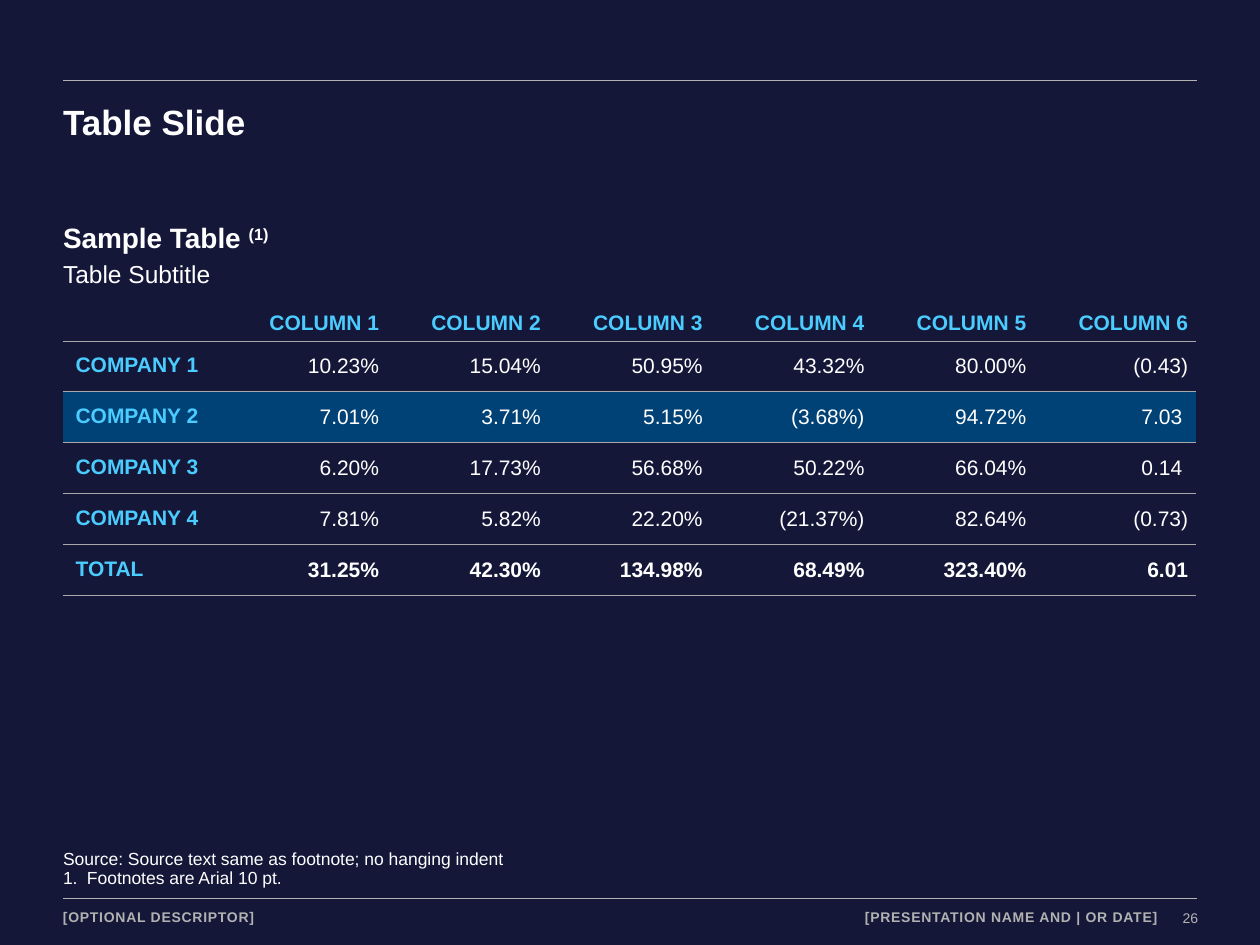
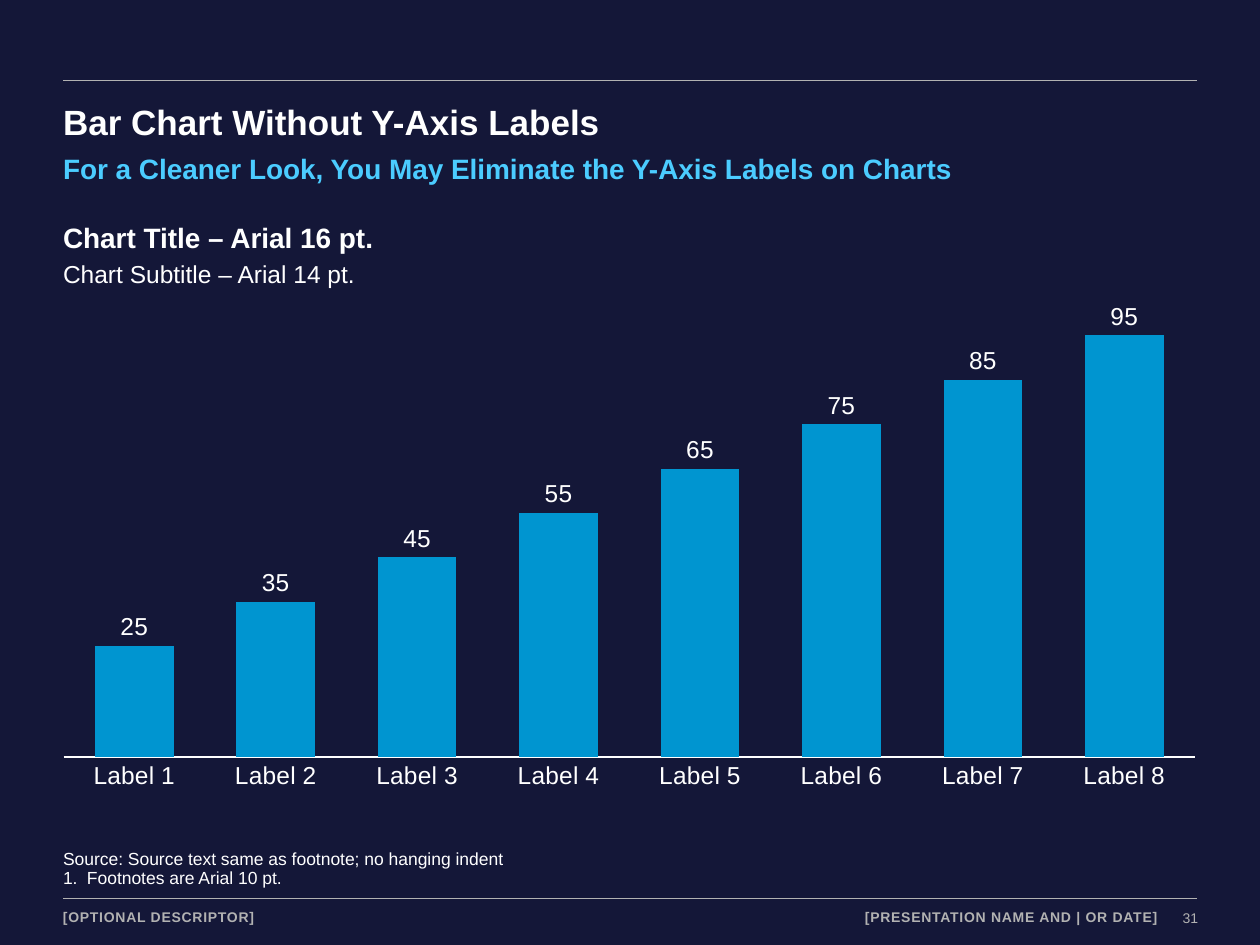
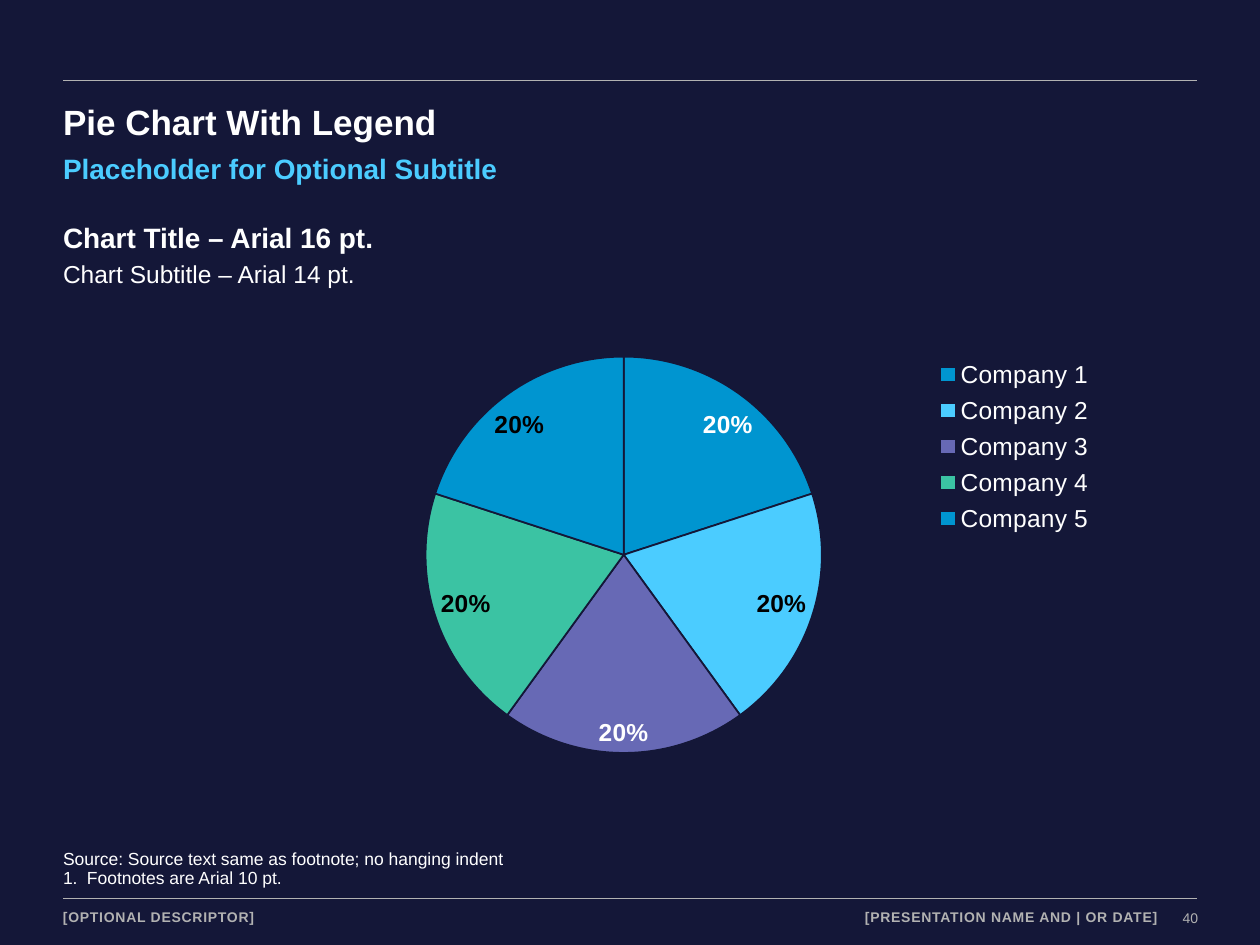
from dataclasses import dataclass

import pptx
import pptx.chart.data
import pptx.dml.color
import pptx.enum.chart
import pptx.enum.shapes
import pptx.enum.text
import pptx.oxml
import pptx.oxml.ns
import pptx.util

Inches = pptx.util.Inches
Pt = pptx.util.Pt
Align = pptx.enum.text.PP_ALIGN
Anchor = pptx.enum.text.MSO_ANCHOR
qn = pptx.oxml.ns.qn


@dataclass(frozen=True)
class Theme:
    font: str = "Arial"
    background: str = "141738"
    text: str = "FFFFFF"
    dark_text: str = "000000"
    accent: str = "4BCCFF"
    bar: str = "0095D0"
    purple: str = "6769B5"
    green: str = "3BC3A3"
    highlight: str = "004176"
    rule: str = "B2B2B2"
    cell_rule: str = "A9A9A9"
    title_size: float = 20
    heading_size: float = 16
    body_size: float = 14
    table_size: float = 12
    note_size: float = 10
    footer_size: float = 8


@dataclass(frozen=True)
class Area:
    left: float
    top: float
    width: float
    height: float

    def lengths(self) -> tuple:
        return tuple(map(Inches, (self.left, self.top, self.width, self.height)))


@dataclass(frozen=True)
class PageText:
    number: int
    title: str
    heading: str
    caption: str
    subtitle: str = ""
    marker: str = ""


THEME = Theme()
LEFT, RIGHT, WIDTH = 0.5, 9.5, 8.99
TITLE = Area(LEFT, 0.8, WIDTH, 0.34)
SUBTITLE = Area(LEFT, 1.2, WIDTH, 0.27)
HEADING = Area(LEFT, 1.7, 7.05, 0.35)
CAPTION = Area(LEFT, 2.01, 7.05, 0.31)
TABLE = Area(LEFT, 2.3, WIDTH, 2.43)
CHART = Area(LEFT, 2.3, WIDTH, 4.15)
NOTES = Area(LEFT, 6.75, WIDTH, 0.32)
DESCRIPTOR = Area(LEFT, 7.21, 3.1, 0.15)
DECK_NAME = Area(5.19, 7.21, 4, 0.15)
PAGE_NUMBER = Area(9.37, 7.22, 0.14, 0.13)

TABLE_ROWS = [
    ["", *(f"COLUMN {number}" for number in range(1, 7))],
    ["COMPANY 1", "10.23%", "15.04%", "50.95%", "43.32%", "80.00%", "(0.43)"],
    ["COMPANY 2", "7.01%", "3.71%", "5.15%", "(3.68%)", "94.72%", "7.03 "],
    ["COMPANY 3", "6.20%", "17.73%", "56.68%", "50.22%", "66.04%", "0.14 "],
    ["COMPANY 4", "7.81%", "5.82%", "22.20%", "(21.37%)", "82.64%", "(0.73)"],
    ["TOTAL", "31.25%", "42.30%", "134.98%", "68.49%", "323.40%", "6.01"],
]
HIGHLIGHTED_ROW = 2
NO_GRID_STYLE = "{2D5ABB26-0587-4C30-8999-92F81FD0307C}"


# Text
def rgb(color: str) -> pptx.dml.color.RGBColor:
    return pptx.dml.color.RGBColor.from_string(color)


def style_font(font, size: float, color: str = THEME.text, bold: bool = False) -> None:
    font.name, font.size, font.bold = THEME.font, Pt(size), bold
    font.color.rgb = rgb(color)


def add_span(para, text: str, *, size: float, color: str = THEME.text, bold: bool = False,
             align=Align.LEFT, line_spacing: float = 1.0, tracking: float = 0,
             raised: int = 0) -> None:
    """Append formatted text to a paragraph."""
    para.alignment, para.line_spacing = align, line_spacing
    span = para.add_run()
    span.text = text
    style_font(span.font, size, color, bold)
    properties = span.font._element
    if tracking:
        properties.set("spc", str(round(tracking * 100)))
    if raised:
        properties.set("baseline", str(raised * 1000))


def set_margins(target, left: float = 0, top: float = 0, right: float = 0,
                bottom: float = 0) -> None:
    target.margin_left, target.margin_top = Inches(left), Inches(top)
    target.margin_right, target.margin_bottom = Inches(right), Inches(bottom)


def prepare_frame(frame, anchor=Anchor.TOP):
    set_margins(frame)
    frame.word_wrap = True
    frame.auto_size = pptx.enum.text.MSO_AUTO_SIZE.NONE
    frame.vertical_anchor = anchor
    return frame.paragraphs[0]


def add_text(page, area: Area, text: str, **text_format):
    para = prepare_frame(page.shapes.add_textbox(*area.lengths()).text_frame)
    add_span(para, text, **text_format)
    return para


# Parts shared by all slides
def add_rule(page, top: float) -> None:
    rule = page.shapes.add_connector(
        pptx.enum.shapes.MSO_CONNECTOR.STRAIGHT,
        Inches(LEFT), Inches(top), Inches(RIGHT), Inches(top))
    rule.line.color.rgb, rule.line.width = rgb(THEME.rule), Pt(1)
    pptx.oxml.ns  # namespace helpers supply the effect list below
    rule._element.spPr.append(pptx.oxml.parse_xml(
        f"<a:effectLst {pptx.oxml.ns.nsdecls('a')}/>"))


def add_notes(page) -> None:
    frame = page.shapes.add_textbox(*NOTES.lengths()).text_frame
    source = prepare_frame(frame, Anchor.BOTTOM)
    frame.margin_bottom = Inches(0.02)
    note_format = dict(size=THEME.note_size, line_spacing=0.9)
    add_span(source, "Source: Source text same as footnote; no hanging indent", **note_format)
    footnote = frame.add_paragraph()
    add_span(footnote, "Footnotes are Arial 10 pt.", **note_format)
    properties = footnote._p.get_or_add_pPr()
    properties.set("marL", str(Inches(0.19)))
    properties.set("indent", str(-Inches(0.19)))
    properties.append(pptx.oxml.parse_xml(
        f"<a:buAutoNum {pptx.oxml.ns.nsdecls('a')} type='arabicPeriod'/>"))


def add_page(deck, content: PageText):
    page = deck.slides.add_slide(deck.slide_layouts.get_by_name("Title Only"))

    # Rules and footer
    add_rule(page, 0.64)
    add_rule(page, 7.13)
    footer = dict(size=THEME.footer_size, color=THEME.rule)
    label = dict(footer, bold=True, tracking=0.4)
    add_text(page, PAGE_NUMBER, str(content.number), align=Align.RIGHT, **footer)
    add_text(page, DESCRIPTOR, "[OPTIONAL DESCRIPTOR]", **label)
    add_text(page, DECK_NAME, "[PRESENTATION NAME AND | OR DATE]", align=Align.RIGHT, **label)

    # Title and subtitle
    title = page.shapes.title
    title.left, title.top, title.width, title.height = TITLE.lengths()
    add_span(prepare_frame(title.text_frame), content.title, size=THEME.title_size, bold=True)
    if content.subtitle:
        add_text(page, SUBTITLE, content.subtitle, size=THEME.heading_size,
                 color=THEME.accent, bold=True)

    # Heading of the table or chart
    heading_format = dict(size=THEME.heading_size, bold=True, line_spacing=1.2)
    heading = add_text(page, HEADING, content.heading, **heading_format)
    if content.marker:
        add_span(heading, content.marker, raised=30, **heading_format)
    add_text(page, CAPTION, content.caption, size=THEME.body_size, line_spacing=1.2)
    add_notes(page)
    return page


# Table
def add_cell_rule(cell, side: str) -> None:
    properties = cell._tc.get_or_add_tcPr()
    properties.append(pptx.oxml.parse_xml(
        f"<a:{side} {pptx.oxml.ns.nsdecls('a')} w='{Pt(0.5)}'><a:solidFill>"
        f"<a:srgbClr val='{THEME.cell_rule}'/></a:solidFill></a:{side}>"))


def fill_cell(cell, text: str, row: int, column: int) -> None:
    is_label = row == 0 or column == 0
    if is_label:
        set_margins(cell, 0.1, 0.05, 0.06, 0.05)
    else:
        set_margins(cell, 0.01, 0.01, 0.06, 0)
    cell.vertical_anchor = Anchor.BOTTOM if row == 0 else Anchor.MIDDLE
    if text:
        add_span(cell.text_frame.paragraphs[0], text, size=THEME.table_size,
                 color=THEME.accent if is_label else THEME.text,
                 bold=is_label or row == len(TABLE_ROWS) - 1,
                 align=Align.RIGHT if column else Align.LEFT, line_spacing=0.9)
    if row:
        add_cell_rule(cell, "lnT")
    add_cell_rule(cell, "lnB")
    if row == HIGHLIGHTED_ROW:
        cell.fill.solid()
        cell.fill.fore_color.rgb = rgb(THEME.highlight)
    else:
        cell.fill.background()


def add_company_table(page) -> None:
    row_count, column_count = len(TABLE_ROWS), len(TABLE_ROWS[0])
    table = page.shapes.add_table(row_count, column_count, *TABLE.lengths()).table
    table.first_row = table.horz_banding = False
    table._tbl.tblPr.find(qn("a:tableStyleId")).text = NO_GRID_STYLE
    for column in table.columns:
        column.width = Inches(TABLE.width / column_count)
    for row in table.rows:
        row.height = Inches(TABLE.height / row_count)
    for row, texts in enumerate(TABLE_ROWS):
        for column, text in enumerate(texts):
            fill_cell(table.cell(row, column), text, row, column)


# Charts
def set_layout(parent, area: Area, position: int, inner: bool = False) -> None:
    """Place a chart part by fractions of the chart area."""
    for layout in parent.findall(qn("c:layout")):
        parent.remove(layout)
    target = "<c:layoutTarget val='inner'/>" if inner else ""
    sizes = zip("xywh", (area.left, area.top, area.width, area.height))
    values = "".join(f"<c:{name} val='{value}'/>" for name, value in sizes)
    parent.insert(position, pptx.oxml.parse_xml(
        f"<c:layout {pptx.oxml.ns.nsdecls('c')}><c:manualLayout>{target}"
        f"<c:xMode val='edge'/><c:yMode val='edge'/>{values}</c:manualLayout></c:layout>"))


def add_chart(page, kind, categories: list[str], values: list[int], plot_area: Area):
    data = pptx.chart.data.CategoryChartData()
    data.categories = categories
    data.add_series("Series 1", values)
    chart = page.shapes.add_chart(kind, *CHART.lengths(), data).chart
    chart.has_title = chart.has_legend = False
    style_font(chart.font, THEME.body_size)
    set_layout(chart._chartSpace.chart.plotArea, plot_area, 0, inner=True)
    return chart


def paint(target, color: str) -> None:
    target.format.fill.solid()
    target.format.fill.fore_color.rgb = rgb(color)


def add_bar_chart(page) -> None:
    chart = add_chart(page, pptx.enum.chart.XL_CHART_TYPE.COLUMN_CLUSTERED,
                      [f"Label {number}" for number in range(1, 9)],
                      list(range(25, 96, 10)), Area(0, 0.045, 1, 0.849))
    plot = chart.plots[0]
    plot.gap_width, plot.vary_by_categories = 80, False
    bars = plot.series[0]
    paint(bars, THEME.bar)
    labels = bars.data_labels
    labels.show_value = True
    labels.position = pptx.enum.chart.XL_LABEL_POSITION.OUTSIDE_END
    style_font(labels.font, THEME.body_size)

    no_tick = pptx.enum.chart.XL_TICK_MARK.NONE
    for axis in (chart.category_axis, chart.value_axis):
        axis.major_tick_mark = axis.minor_tick_mark = no_tick
        axis.has_major_gridlines = False
    chart.category_axis.format.line.color.rgb = rgb(THEME.text)
    chart.category_axis.format.line.width = Pt(0.75)
    scale = chart.value_axis
    scale.minimum_scale, scale.maximum_scale = 0, 100
    scale.tick_label_position = pptx.enum.chart.XL_TICK_LABEL_POSITION.NONE
    scale.format.line.fill.background()


def add_pie_chart(page) -> None:
    colors = [THEME.bar, THEME.accent, THEME.purple, THEME.green, THEME.bar]
    dark_labels = (1, 3, 4)
    chart = add_chart(page, pptx.enum.chart.XL_CHART_TYPE.PIE,
                      [f"Company {number}" for number in range(1, 6)],
                      [20] * 5, Area(0.316, 0.128, 0.358, 0.758))
    chart.plots[0].vary_by_categories = True
    pie = chart.plots[0].series[0]
    best_fit = pptx.enum.chart.XL_LABEL_POSITION.BEST_FIT
    labels = pie.data_labels
    labels.show_percentage, labels.show_value = True, False
    labels.number_format, labels.number_format_is_linked = "0%", False
    labels.position = best_fit
    style_font(labels.font, THEME.body_size, bold=True)

    for index, color in enumerate(colors):
        point = pie.points[index]
        paint(point, color)
        point.format.line.color.rgb = rgb(THEME.background)
        point.format.line.width = Pt(1)
        if index in dark_labels:
            style_font(point.data_label.font, THEME.body_size, THEME.dark_text, True)
            point.data_label.position = best_fit
    for label in labels._element.findall(qn("c:dLbl")):
        label.find(qn("c:showVal")).set("val", "0")
        label.find(qn("c:showPercent")).set("val", "1")

    chart.has_legend = True
    legend = chart.legend
    legend.position = pptx.enum.chart.XL_LEGEND_POSITION.RIGHT
    legend.include_in_layout = False
    style_font(legend.font, THEME.body_size)
    set_layout(legend._element, Area(0.76, 0.12, 0.16, 0.36), 1)


def main() -> None:
    deck = pptx.Presentation()
    deck.slide_width, deck.slide_height = Inches(10), Inches(7.5)
    background = deck.slide_master.background.fill
    background.solid()
    background.fore_color.rgb = rgb(THEME.background)

    chart_heading = dict(heading="Chart Title – Arial 16 pt.",
                         caption="Chart Subtitle – Arial 14 pt.")
    add_company_table(add_page(deck, PageText(
        26, "Table Slide", "Sample Table ", "Table Subtitle", marker="(1)")))
    add_bar_chart(add_page(deck, PageText(
        31, "Bar Chart Without Y-Axis Labels", **chart_heading,
        subtitle="For a Cleaner Look, You May Eliminate the Y-Axis Labels on Charts")))
    add_pie_chart(add_page(deck, PageText(
        40, "Pie Chart With Legend", **chart_heading,
        subtitle="Placeholder for Optional Subtitle")))
    deck.save("out.pptx")


if __name__ == "__main__":
    main()
